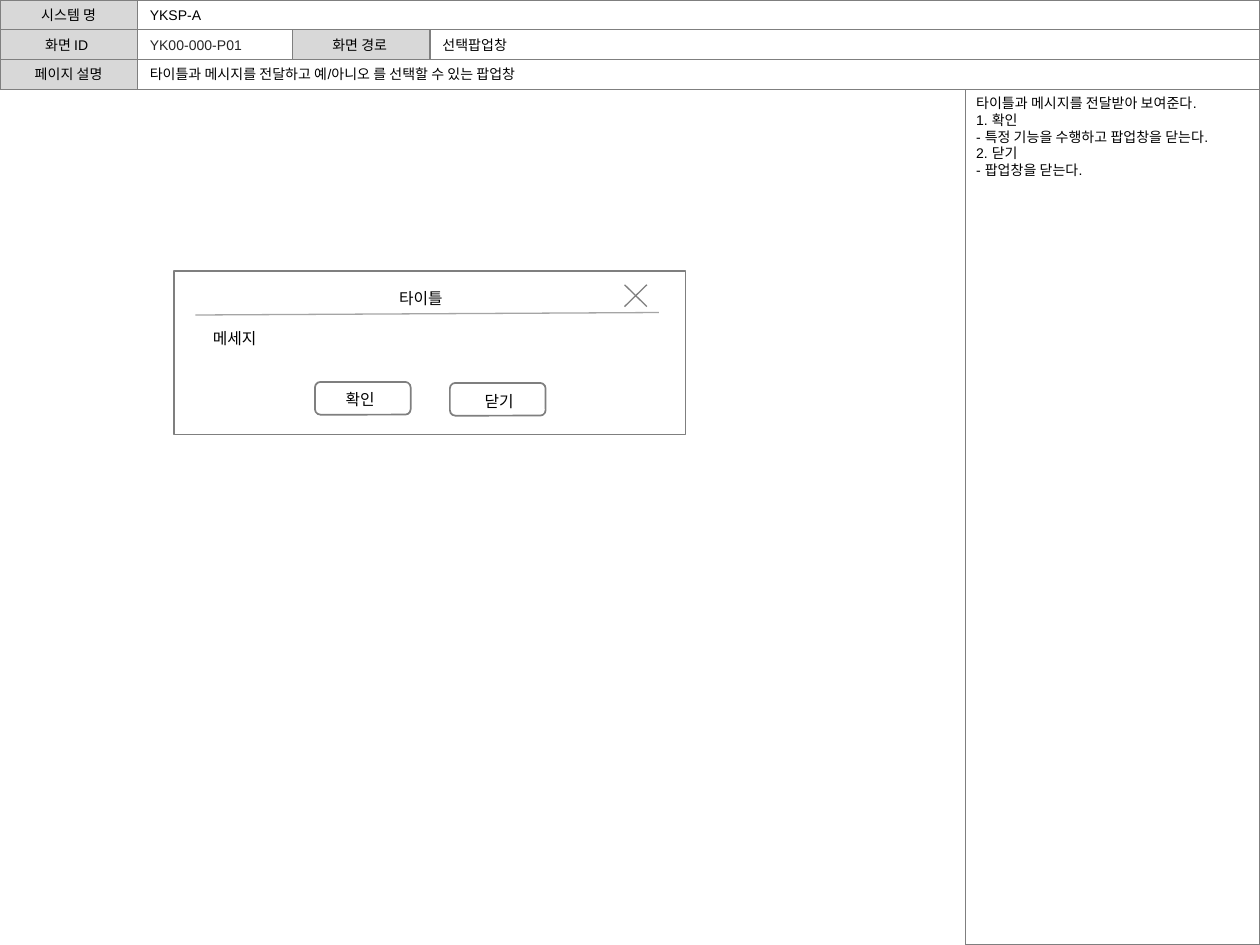
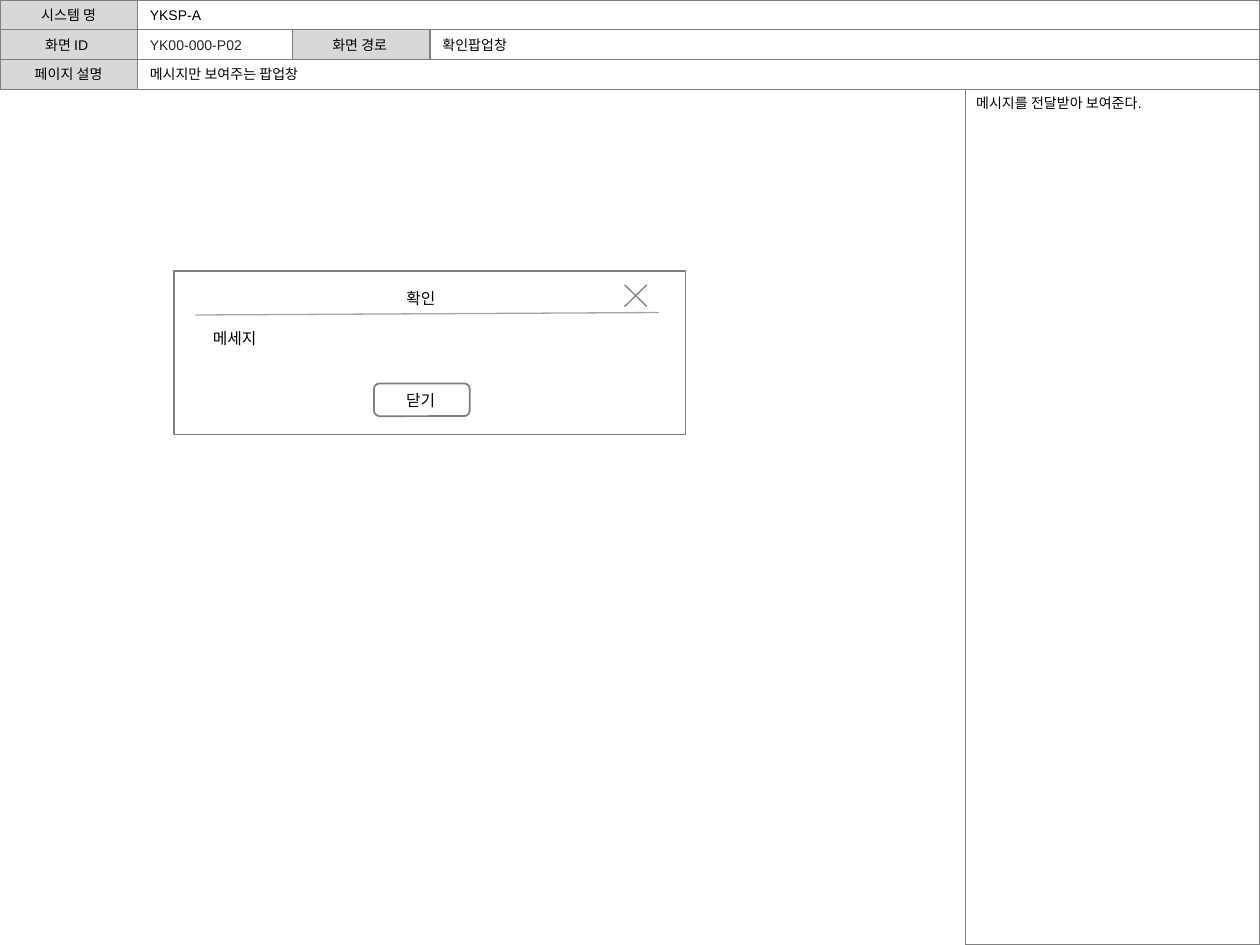
import pptx
import pptx.dml.color
import pptx.enum.shapes
import pptx.enum.text
import pptx.oxml.ns
import pptx.util
from lxml import etree

Cm, Pt = pptx.util.Cm, pptx.util.Pt
SHAPE = pptx.enum.shapes.MSO_SHAPE
CENTER = pptx.enum.text.PP_ALIGN.CENTER
LEFT = pptx.enum.text.PP_ALIGN.LEFT
TOP = pptx.enum.text.MSO_ANCHOR.TOP
MIDDLE = pptx.enum.text.MSO_ANCHOR.MIDDLE

WHITE, BLACK, DARK = "FFFFFF", "000000", "262626"
LABEL_GRAY, BORDER, RULE = "D8D8D8", "7F7F7F", "A5A5A5"
FONT = "Arial"
HEADER_SIZE, POPUP_SIZE = 8, 9

PAGE_WIDTH, PAGE_HEIGHT = 25.4, 19.05
ROW_HEIGHT = 0.6
LABEL_WIDTH = 2.77
PATH_LEFT = 5.9
NOTES_LEFT = 19.46
BUTTON_SIZE = (1.93, 0.66)
CAPTION_SIZE = (2.08, 0.64)

SCREENS = [
    {
        "id": "YK00-000-P01",
        "route": "선택팝업창",
        "summary": "타이틀과 메시지를 전달하고 예/아니오 를 선택할 수 있는 팝업창",
        "notes": [
            "타이틀과 메시지를 전달받아 보여준다.",
            "1. 확인",
            "- 특정 기능을 수행하고 팝업창을 닫는다.",
            "2. 닫기",
            "- 팝업창을 닫는다.",
        ],
        "title": "타이틀",
        # caption, button corner, caption corner
        "buttons": [
            ("닫기", (9.07, 7.72), (9.02, 7.77)),
            ("확인", (6.35, 7.7), (6.22, 7.72)),
        ],
    },
    {
        "id": "YK00-000-P02",
        "route": "확인팝업창",
        "summary": "메시지만 보여주는 팝업창",
        "notes": ["메시지를 전달받아 보여준다."],
        "title": "확인",
        "buttons": [("닫기", (7.54, 7.73), (7.44, 7.75))],
    },
]


def rgb(hex_code):
    """Turn a hex string into a colour."""
    return pptx.dml.color.RGBColor.from_string(hex_code)


def apply(target, values):
    """Set every attribute named in a dict of format values."""
    for name, value in values.items():
        setattr(target, name, value)


def write(frame, lines, size, color=BLACK, align=LEFT, anchor=TOP, insets=(0.25, 0.13)):
    """Fill a text frame, one paragraph for each line."""
    side, edge = (Cm(inset) for inset in insets)
    apply(frame, {
        "word_wrap": True, "vertical_anchor": anchor,
        "margin_left": side, "margin_right": side,
        "margin_top": edge, "margin_bottom": edge,
    })
    for index, line in enumerate(lines):
        paragraph = frame.add_paragraph() if index else frame.paragraphs[0]
        paragraph.alignment = align
        run = paragraph.add_run()
        run.text = line
        apply(run.font, {"name": FONT, "size": Pt(size)})
        run.font.color.rgb = rgb(color)


def add_box(shapes, left, top, width, height, fill=None, weight=0.75, kind=SHAPE.RECTANGLE):
    """Add a gray-bordered box, hollow unless a fill is given."""
    box = shapes.add_shape(kind, Cm(left), Cm(top), Cm(width), Cm(height))
    box.shadow.inherit = False
    if fill:
        box.fill.solid()
        box.fill.fore_color.rgb = rgb(fill)
    else:
        box.fill.background()
    box.line.color.rgb = rgb(BORDER)
    box.line.width = Pt(weight)
    return box


def add_line(shapes, start, end, color):
    """Add a thin straight line without a shadow."""
    line = shapes.add_connector(
        pptx.enum.shapes.MSO_CONNECTOR.STRAIGHT, *(Cm(value) for value in start + end))
    line.line.color.rgb = rgb(color)
    line.line.width = Pt(0.75)
    properties = line._element.find(pptx.oxml.ns.qn("p:spPr"))
    etree.SubElement(properties, pptx.oxml.ns.qn("a:effectLst"))


def add_text(shapes, left, top, width, height, text, align=LEFT):
    """Add a popup text box."""
    text_box = shapes.add_textbox(Cm(left), Cm(top), Cm(width), Cm(height))
    write(text_box.text_frame, [text], POPUP_SIZE, align=align)


def add_field(shapes, row, left, right, label, value, color=BLACK):
    """Add a gray label cell and the white value cell that ends at right."""
    value_left = left + LABEL_WIDTH
    top = row * ROW_HEIGHT
    value_cell = add_box(shapes, value_left, top, right - value_left, ROW_HEIGHT, WHITE)
    write(value_cell.text_frame, [value], HEADER_SIZE, color, anchor=MIDDLE)
    label_cell = add_box(shapes, left, top, LABEL_WIDTH, ROW_HEIGHT, LABEL_GRAY)
    write(label_cell.text_frame, [label], HEADER_SIZE, align=CENTER, anchor=MIDDLE)


def add_header(slide, screen):
    """Add the three header rows that describe the screen."""
    cells = slide.shapes.add_group_shape().shapes
    add_field(cells, 1, 0, PATH_LEFT, "화면 ID ", screen["id"], DARK)
    add_field(cells, 1, PATH_LEFT, PAGE_WIDTH, "화면 경로 ", screen["route"])
    add_field(cells, 2, 0, PAGE_WIDTH, "페이지 설명", screen["summary"])
    add_field(cells, 0, 0, PAGE_WIDTH, "시스템 명", "YKSP-A")


def add_notes_panel(slide, lines):
    """Add the description column on the right."""
    top = 3 * ROW_HEIGHT
    panel = add_box(slide.shapes, NOTES_LEFT, top, PAGE_WIDTH - NOTES_LEFT, PAGE_HEIGHT - top)
    write(panel.text_frame, lines, HEADER_SIZE, insets=(0.22, 0.11))


def add_button(slide, caption, corner, caption_corner):
    """Add a rounded button with its caption."""
    parts = slide.shapes.add_group_shape().shapes
    button = add_box(parts, *corner, *BUTTON_SIZE, weight=1, kind=SHAPE.ROUNDED_RECTANGLE)
    button.adjustments[0] = 0.167
    add_text(parts, *caption_corner, *CAPTION_SIZE, caption, CENTER)


def add_popup(slide, screen):
    """Add the popup window with title, close mark, message and buttons."""
    shapes = slide.shapes
    add_box(shapes, 3.51, 5.46, 10.31, 3.3, WHITE, weight=1)
    add_line(shapes, (3.94, 6.35), (13.28, 6.3), RULE)
    close_mark = shapes.add_group_shape().shapes
    left, top, right, bottom = 12.59, 5.74, 13.04, 6.18
    add_line(close_mark, (right, top), (left, bottom), BORDER)
    add_line(close_mark, (left, top), (right, bottom), BORDER)
    add_text(shapes, 6.86, 5.69, 3.25, 0.64, screen["title"], CENTER)
    add_text(shapes, 4.04, 6.5, 9.78, 0.64, "메세지")
    for button in screen["buttons"]:
        add_button(slide, *button)


def main():
    """Build one slide for each screen."""
    deck = pptx.Presentation()
    apply(deck, {"slide_width": Cm(PAGE_WIDTH), "slide_height": Cm(PAGE_HEIGHT)})
    for screen in SCREENS:
        slide = deck.slides.add_slide(deck.slide_layouts[6])
        add_header(slide, screen)
        add_notes_panel(slide, screen["notes"])
        add_popup(slide, screen)
    deck.save("out.pptx")


main()
